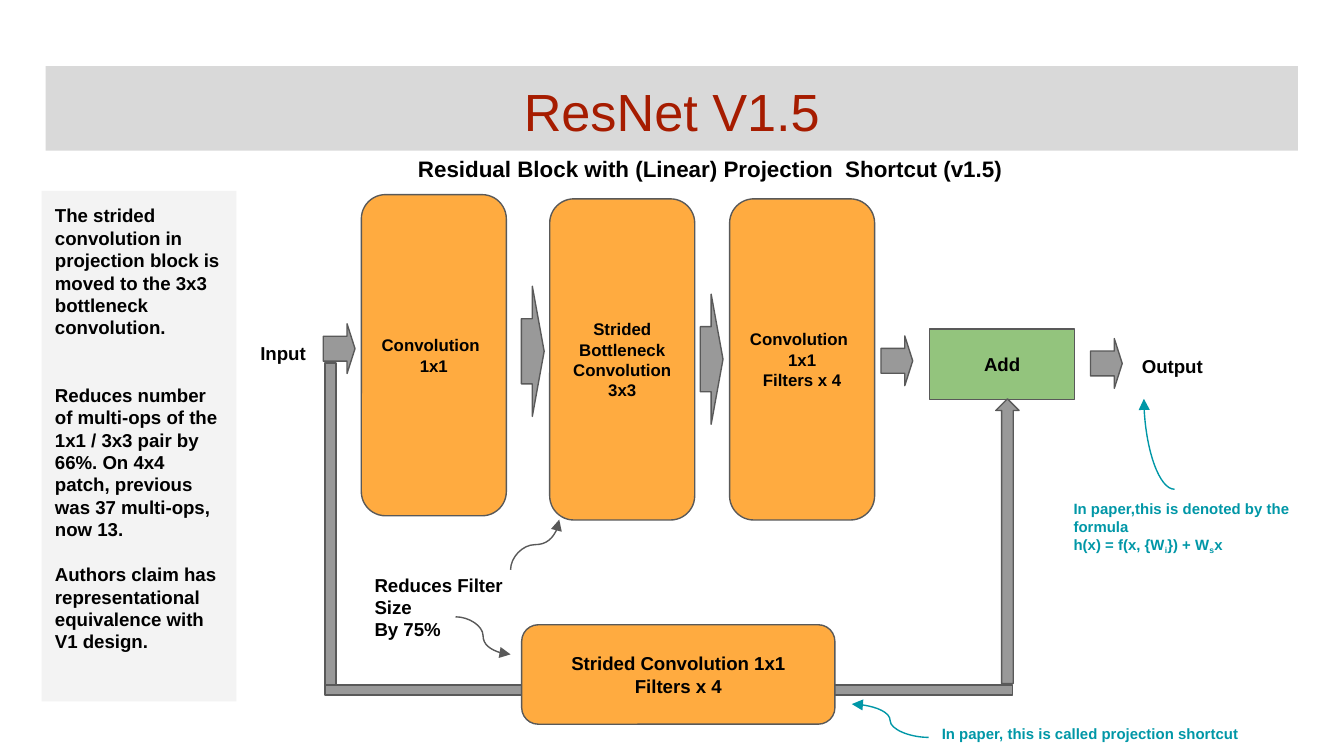
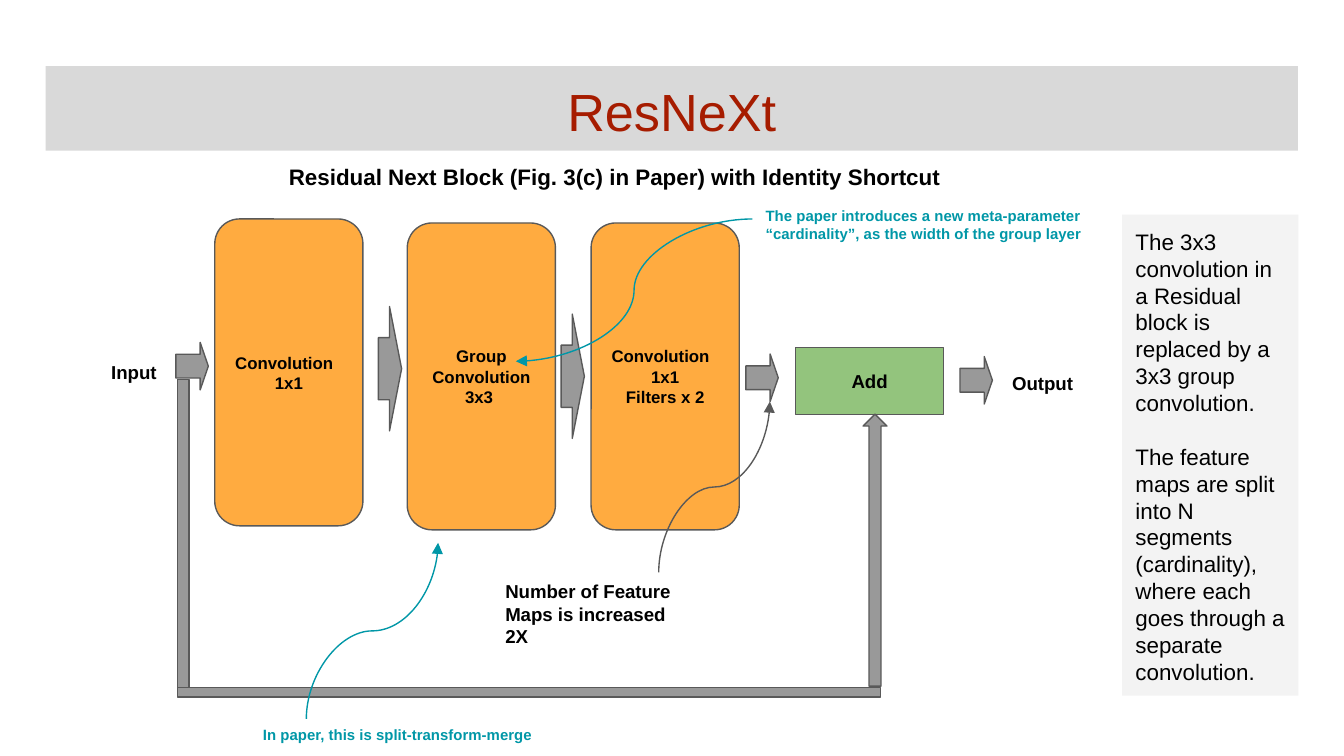
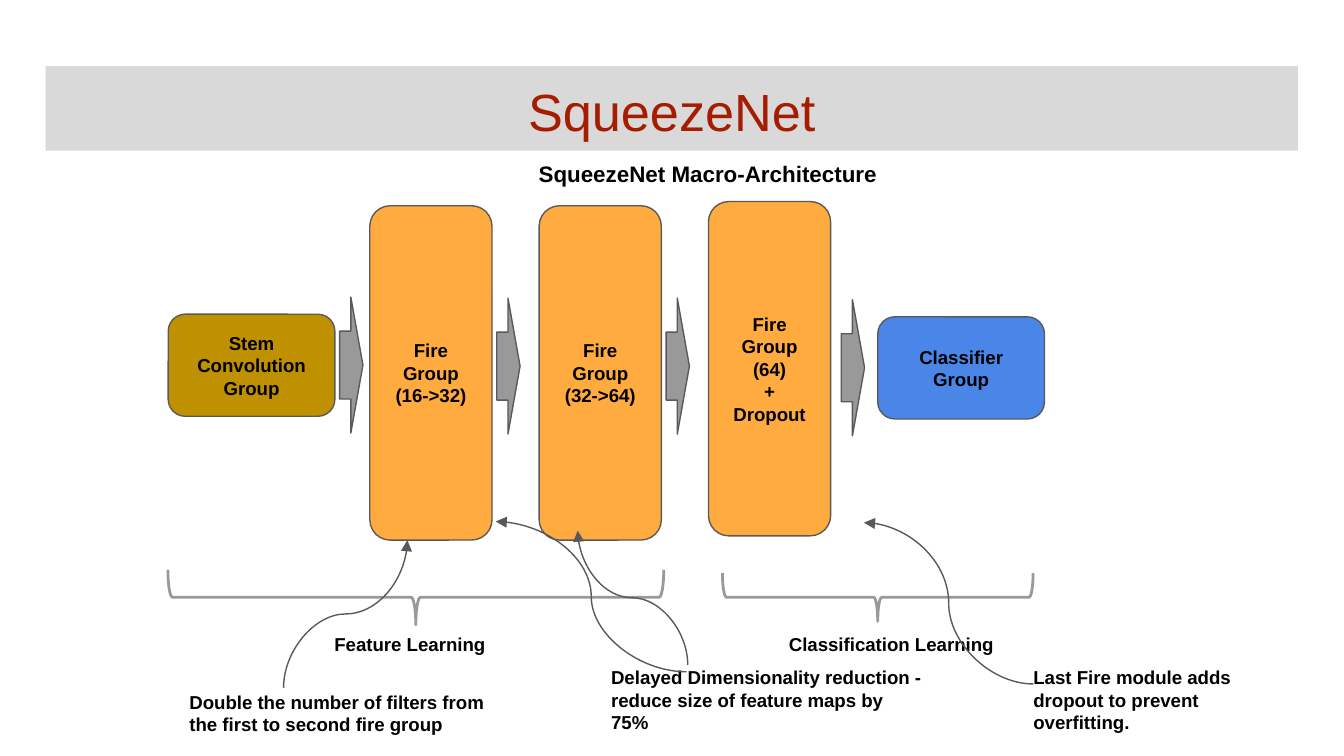
import pptx
import pptx.dml.color
import pptx.enum.shapes
import pptx.enum.text
import pptx.oxml
import pptx.oxml.ns
import pptx.util

Cm = pptx.util.Cm
Kind = pptx.enum.shapes.MSO_SHAPE
Align = pptx.enum.text.PP_ALIGN
Anchor = pptx.enum.text.MSO_ANCHOR

COLORS = {
    "band": "D9D9D9", "title": "A61C00", "ink": "000000", "side": "F3F3F3",
    "block": "FFAB40", "add": "93C47D", "stem": "BF9000", "class": "4A86E8",
    "gray": "999999", "edge": "595959", "note": "0097A7",
}
FONT = "Arial"
INSET = 0.25


def color(name):
    return pptx.dml.color.RGBColor.from_string(COLORS[name])


class Page:
    def __init__(self, deck, title):
        self.slide = deck.slides.add_slide(deck.slide_layouts[5])
        self.shapes = self.slide.shapes
        band = self.shapes.title
        band.left, band.top, band.width, band.height = map(Cm, (0.86, 1.25, 23.67, 1.6))
        band.fill.solid()
        band.fill.fore_color.rgb = color("band")
        self.label(band, [title], 28, ink="title", bold=False, align=Align.CENTER)

    def label(self, shape, lines, size, ink="ink", bold=True, align=Align.LEFT,
              lead=None, anchor=Anchor.TOP, gaps=()):
        """Fill a shape with paragraphs; text between underscores is subscript."""
        frame = shape.text_frame
        frame.word_wrap = True
        frame.auto_size = pptx.enum.text.MSO_AUTO_SIZE.NONE
        frame.vertical_anchor = anchor
        frame.margin_left = frame.margin_right = Cm(INSET)
        frame.margin_top = frame.margin_bottom = Cm(INSET)
        for i, line in enumerate(lines):
            para = frame.add_paragraph() if i else frame.paragraphs[0]
            para.text, *rest = line.split("_")
            for n, part in enumerate(rest):
                run = para.add_run()
                run.text = part
                if n % 2 == 0:
                    run._r.get_or_add_rPr().set("baseline", "-25000")
            para.alignment = lead if lead and i == 0 else align
            if i and gaps:
                para.space_before = pptx.util.Pt(gaps[i - 1])
            para.font.name = FONT
            para.font.size = pptx.util.Pt(size)
            para.font.bold = bold
            para.font.color.rgb = color(ink)

    def text(self, x, y, w, h, *lines, size=10, ink="ink"):
        box = self.shapes.add_textbox(Cm(x), Cm(y), Cm(w), Cm(h))
        self.label(box, lines, size, ink)

    def note(self, x, y, w, h, *lines):
        self.text(x, y, w, h, *lines, size=8, ink="note")

    def shape(self, kind, x, y, w, h, fill=None, edge="edge", weight=0.75):
        item = self.shapes.add_shape(kind, Cm(x), Cm(y), Cm(w), Cm(h))
        item.shadow.inherit = False
        if fill:
            item.fill.solid()
            item.fill.fore_color.rgb = color(fill)
        else:
            item.fill.background()
        if edge:
            item.line.color.rgb = color(edge)
            item.line.width = pptx.util.Pt(weight)
        else:
            item.line.fill.background()
        return item

    def block(self, x, y, w, h, *lines, fill="block", size=10, lead=None,
              kind=Kind.ROUNDED_RECTANGLE):
        item = self.shape(kind, x, y, w, h, fill)
        self.label(item, lines, size, align=Align.CENTER, lead=lead, anchor=Anchor.MIDDLE)

    def side(self, x, y, w, h, *lines, size, bold, gaps):
        item = self.shape(Kind.RECTANGLE, x, y, w, h, "side", None)
        self.label(item, lines, size, bold=bold, gaps=gaps)

    def arrow(self, x, y, length, breadth, tip):
        """Arrow to the right, centred on x, y."""
        item = self.shape(Kind.DOWN_ARROW, x - breadth / 2, y - length / 2,
                          breadth, length, "gray")
        item.adjustments[1] = tip
        item.rotation = 270

    def brace(self, x, y, span, depth):
        """Brace that points down, centred on x, y."""
        item = self.shape(Kind.LEFT_BRACE, x - depth / 2, y - span / 2,
                          depth, span, None, "gray", 1.5)
        item.rotation = 270

    def curve(self, x1, y1, x2, y2, ink="edge", rise=False, hook=False):
        """Curved arrow; rise leaves vertically, hook makes one bend only."""
        side = 1 if x2 > x1 else -1
        if rise:
            midx, midy = (x1 + x2) / 2, (y1 + y2) / 2
            run, drop = (y1 - y2) * side / 2, (x2 - x1) * side / 2
            x1, x2, y1, y2 = midx - run, midx + run, midy - drop, midy + drop
        line = self.shapes.add_connector(pptx.enum.shapes.MSO_CONNECTOR.CURVE,
                                         Cm(x1), Cm(y1), Cm(x2), Cm(y2))
        line.line.color.rgb = color(ink)
        line.line.width = pptx.util.Pt(0.75)
        props = line._element.spPr
        if rise:
            props.xfrm.rot = 180 + 90 * side
        if hook:
            props.prstGeom.set("prst", "curvedConnector2")
        tail = pptx.oxml.parse_xml(
            f'<a:tailEnd {pptx.oxml.ns.nsdecls("a")} type="triangle"/>')
        line.line._get_or_add_ln().append(tail)
        props.append(pptx.oxml.parse_xml(f'<a:effectLst {pptx.oxml.ns.nsdecls("a")}/>'))

    def residual(self, left, top, wide, tall, middle, last):
        """Three convolutions and a shortcut, scaled by the size of one block."""
        sx, sy = wide / 2.74, tall / 6.07

        def fit(x, y, w, h):
            return left + x * sx, top + y * sy, w * sx, h * sy

        def point(x, y, length, breadth):
            """Arrow whose length follows the height of a block."""
            x, y, breadth, length = fit(x, y, breadth, length)
            return x, y, breadth, length

        trio = ((0, 0, ["Convolution", "1x1"], Align.LEFT),
                (3.56, 0.08, middle, None),
                (6.96, 0.08, ["Convolution", "1x1", last], Align.LEFT))
        for x, y, lines, lead in trio:
            self.block(*fit(x, y, 2.74, 6.07), *lines, size=9, lead=lead)
        for x, y in ((3.24, 2.96), (6.62, 3.11)):
            self.arrow(*fit(x, y, 0.43, 2.46), 0.52)
        for x, y in ((-0.42, 2.91), (10.12, 3.14), (14.08, 3.19)):
            self.arrow(*fit(x, y, 0.6, 0.94), 0.25)
        self.text(*fit(-2.16, 2.54, 1.45, 0.74), "Input")
        self.text(*fit(14.5, 2.77, 1.8, 0.74), "Output")
        self.block(*fit(10.74, 2.54, 2.74, 1.33), "Add", fill="add", kind=Kind.RECTANGLE)
        self.shape(Kind.RECTANGLE, *fit(-0.69, 3.18, 0.21, 6.27), "gray")
        self.shape(Kind.RECTANGLE, *fit(-0.69, 9.27, 13, 0.19), "gray")
        self.shape(Kind.UP_ARROW, *fit(11.99, 3.86, 0.44, 5.38), "gray")


def resnet(deck):
    page = Page(deck, "ResNet V1.5")
    page.text(7.65, 2.69, 13.36, 1.02,
              "Residual Block with (Linear) Projection  Shortcut (v1.5)", size=12)
    page.residual(6.83, 3.68, 2.74, 6.07,
                  ["Strided\nBottleneck", "Convolution", "3x3"], "Filters x 4")
    page.note(17.55, 13.44, 6.38, 0.74, "In paper, this is called projection shortcut")
    page.block(9.86, 11.81, 5.92, 1.88, "Strided Convolution 1x1", "Filters x 4")
    page.text(6.83, 10.59, 3.68, 1.88, "Reduces Filter Size", "By 75%")
    page.curve(17.55, 13.94, 16.1, 13.31, "note")
    page.curve(9.65, 10.77, 10.57, 9.82, rise=True)
    page.curve(8.61, 11.66, 9.65, 12.37)
    page.note(20.04, 9.19, 5.36, 1.32, "In paper,this is denoted by the formula",
              "h(x) = f(x, {W_i_}) + W_s_x")
    page.curve(22.2, 9.25, 21.62, 7.54, "note", hook=True)
    page.side(0.79, 3.61, 3.68, 9.65,
              "The strided convolution in projection block is moved to the 3x3 "
              "bottleneck convolution.",
              "Reduces number of multi-ops of the 1x1 / 3x3 pair by 66%. "
              "On 4x4 patch, previous was 37 multi-ops, now 13.",
              "Authors claim has representational equivalence with V1 design.",
              size=10, bold=True, gaps=(24, 12))


def resnext(deck):
    page = Page(deck, "ResNeXt")
    page.text(5.21, 2.84, 12.95, 0.97,
              "Residual Next Block (Fig. 3(c) in Paper) with Identity Shortcut", size=12)
    page.residual(4.06, 4.14, 2.8, 5.8, ["Group", "Convolution", "3x3 "], "Filters x 2")
    page.text(9.3, 10.72, 3.76, 1.8, "Number of Feature Maps is increased 2X")
    page.curve(12.45, 10.82, 14.55, 7.59, rise=True)
    page.note(4.72, 13.46, 7.82, 0.71, "In paper, this is split-transform-merge")
    page.curve(5.79, 13.59, 8.28, 10.26, "note", rise=True)
    page.note(14.22, 3.66, 7.82, 0.97,
              "The paper introduces a new meta-parameter “cardinality”, "
              "as the width of the group layer")
    page.curve(14.22, 4.14, 9.75, 6.83, "note")
    page.side(21.21, 4.06, 3.33, 9.09,
              "The 3x3 convolution in a Residual block is replaced by a 3x3 "
              "group convolution.",
              "The feature maps are split into N segments (cardinality), "
              "where each goes through a separate convolution.",
              size=12, bold=False, gaps=(14.4,))


def squeeze(deck):
    page = Page(deck, "SqueezeNet")
    page.text(9.93, 2.77, 8.31, 1.04, "SqueezeNet Macro-Architecture", size=12)
    page.block(3.18, 5.94, 3.15, 1.93, "Stem\nConvolution Group", fill="stem")
    page.block(16.59, 5.99, 3.15, 1.93, "Classifier", "Group", fill="class")
    fires = ((3.89, ["(16->32)"]), (3.89, ["(32->64)"]), (3.81, ["(64)", "+\nDropout"]))
    for i, (top, tail) in enumerate(fires):
        page.block(6.99 + 3.2 * i, top, 2.31, 6.32, "Fire", "Group", *tail)
    for x, y in ((6.64, 6.9), (9.61, 6.92), (12.81, 6.92), (16.12, 6.95)):
        page.arrow(x, y, 0.44, 2.57, 0.52)
    page.brace(7.86, 11.29, 9.37, 1.04)
    page.brace(16.59, 11.29, 5.87, 0.91)
    page.text(6.07, 11.71, 4.11, 0.84, "Feature Learning")
    page.text(14.66, 11.71, 4.62, 0.84, "Classification Learning")
    page.text(11.3, 12.34, 6.4, 1.47,
              "Delayed Dimensionality reduction - reduce size of feature maps by 75%")
    page.text(19.28, 12.34, 4.93, 1.47,
              "Last Fire module adds dropout to prevent overfitting.")
    page.text(3.33, 12.8, 6.4, 1.47,
              "Double the number of filters from the first to second fire group")
    page.curve(13, 12.57, 10.92, 10.03, rise=True)
    page.curve(19.53, 12.93, 16.33, 9.88)
    page.curve(12.98, 12.7, 9.37, 9.86)
    page.curve(5.36, 13, 7.7, 10.21, rise=True)


def main():
    deck = pptx.Presentation()
    deck.slide_width, deck.slide_height = Cm(25.4), Cm(14.29)
    for draw in (resnet, resnext, squeeze):
        draw(deck)
    deck.save("out.pptx")


if __name__ == "__main__":
    main()
